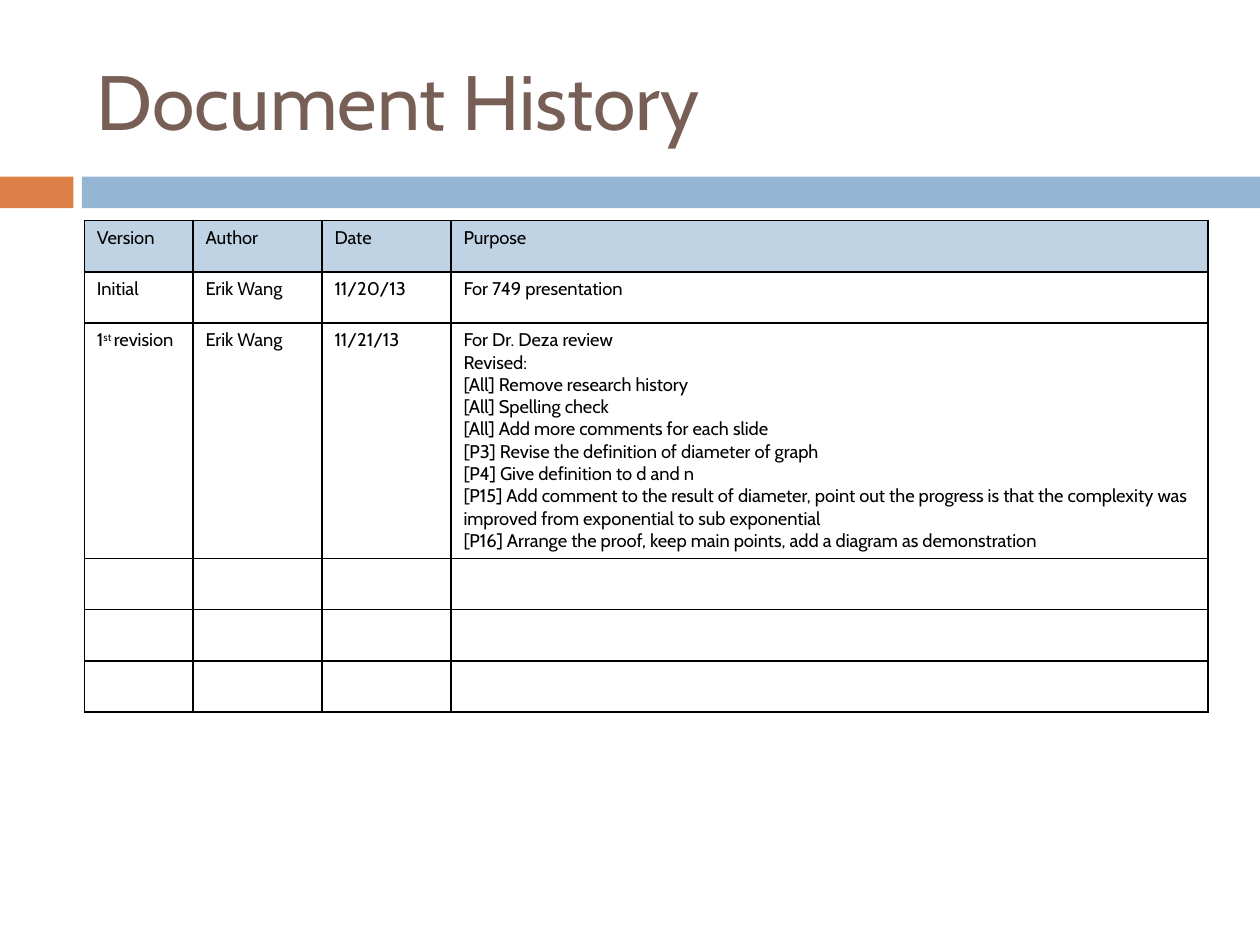
from lxml.etree import fromstring
from pptx import Presentation
from pptx.dml.color import RGBColor
from pptx.enum.shapes import MSO_SHAPE
from pptx.enum.text import MSO_ANCHOR, MSO_AUTO_SIZE, PP_ALIGN
from pptx.util import Cm, Pt

FONT = "Cabin"
NS = "http://schemas.openxmlformats.org/drawingml/2006/main"
WIDTHS = (2.19, 2.6, 2.6, 15.26)
HEIGHTS = (1.03, 1.03, 4.75, 1.03, 1.03, 1.03)
REVIEW = """For Dr. Deza review
Revised:
[All] Remove research history
[All] Spelling check
[All] Add more comments for each slide
[P3] Revise the definition of diameter of graph
[P4] Give definition to d and n
[P15] Add comment to the result of diameter, point out the progress is that the complexity was improved from exponential to sub exponential
[P16] Arrange the proof, keep main points, add a diagram as demonstration"""
ROWS = (
    ("Version", "Author", "Date", "Purpose"),
    ("Initial", "Erik Wang", "11/20/13", "For 749 presentation"),
    ("", "Erik Wang", "11/21/13", REVIEW),
)


def paint(fill, color):
    """Fill with one solid colour."""
    fill.solid()
    fill.fore_color.rgb = RGBColor.from_string(color)


def style(frame, size, color):
    """Format every run of a text frame."""
    for para in frame.paragraphs:
        for run in para.runs:
            run.font.name = FONT
            run.font.size = Pt(size)
            paint(run.font.fill, color)


def add_title(slide, text):
    """Place and format the slide title."""
    title = slide.shapes.title
    title.left, title.top = Cm(1.7), Cm(0.64)
    title.width, title.height = Cm(22.65), Cm(2.74)
    frame = title.text_frame
    frame.text = text
    frame.auto_size = MSO_AUTO_SIZE.NONE
    frame.vertical_anchor = MSO_ANCHOR.MIDDLE
    frame.paragraphs[0].alignment = PP_ALIGN.LEFT
    style(frame, 44, "775F55")


def add_bar(slide, left, width, color):
    """Add one block of the band under the title."""
    bar = slide.shapes.add_shape(
        MSO_SHAPE.RECTANGLE, Cm(left), Cm(3.56), Cm(width), Cm(0.64))
    bar.shadow.inherit = False
    bar.line.fill.background()
    paint(bar.fill, color)


def add_edges(cell):
    """Draw thin black lines on all sides of a cell."""
    props = cell._tc.get_or_add_tcPr()
    for spot, side in enumerate("LRTB"):
        props.insert(spot, fromstring(
            f'<a:ln{side} xmlns:a="{NS}" w="12700"><a:solidFill>'
            f'<a:srgbClr val="000000"/></a:solidFill></a:ln{side}>'))


def add_rank(cell):
    """Write the revision label with a raised ordinal."""
    para = cell.text_frame.paragraphs[0]
    for text in ("1", "st ", "revision"):
        para.add_run().text = text
    para.runs[1].font._element.set("baseline", "30000")


def add_grid(slide):
    """Add the table of versions."""
    table = slide.shapes.add_table(
        len(HEIGHTS), len(WIDTHS), Cm(1.7), Cm(4.45),
        Cm(sum(WIDTHS)), Cm(sum(HEIGHTS))).table
    table.first_row = table.horz_banding = False
    for col, width in zip(table.columns, WIDTHS):
        col.width = Cm(width)
    for row, height in zip(table.rows, HEIGHTS):
        row.height = Cm(height)
    for row, texts in zip(table.rows, ROWS):
        for cell, text in zip(row.cells, texts):
            cell.text_frame.text = text
    add_rank(table.cell(2, 0))
    for cell in table.iter_cells():
        style(cell.text_frame, 10.5, "000000")
        cell.fill.background()
        add_edges(cell)
    for cell in table.rows[0].cells:
        paint(cell.fill, "BFD3E4")


def main():
    """Build and save the slide."""
    deck = Presentation()
    deck.slide_width, deck.slide_height = Cm(25.4), Cm(19.05)
    slide = deck.slides.add_slide(deck.slide_layouts[5])
    add_bar(slide, 0, 1.48, "DD8047")
    add_bar(slide, 1.65, 23.75, "94B6D2")
    add_title(slide, "Document History")
    add_grid(slide)
    deck.save("out.pptx")


main()
